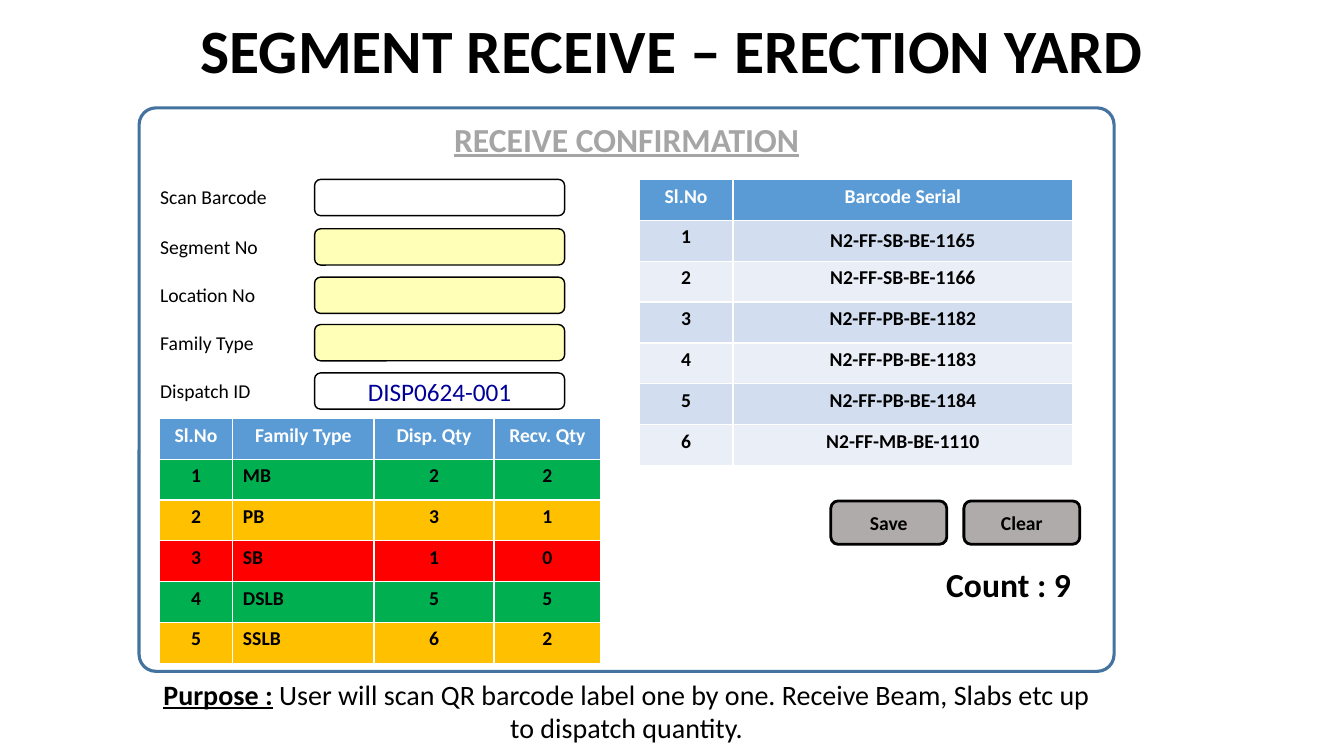
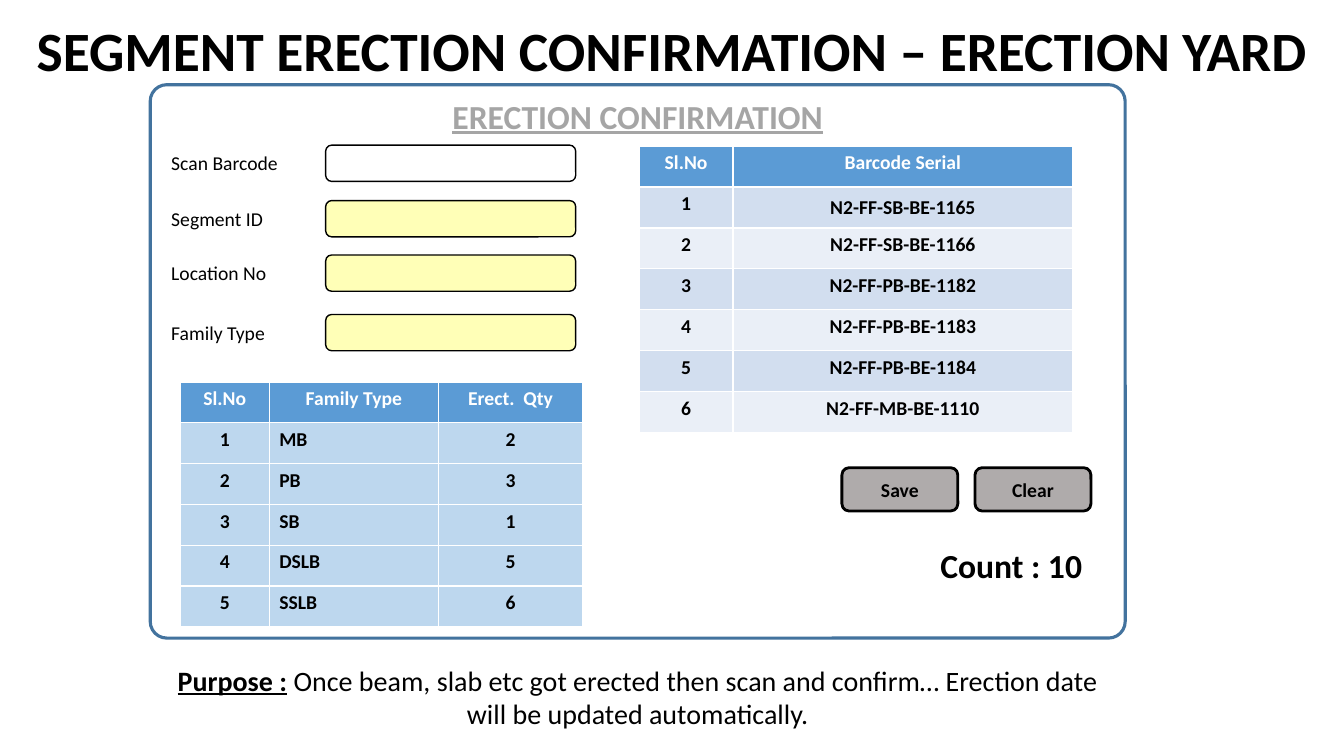
from pptx import Presentation
from pptx.dml.color import RGBColor
from pptx.enum.shapes import MSO_SHAPE
from pptx.enum.text import MSO_ANCHOR, PP_ALIGN
from pptx.util import Emu, Pt

EMU_PER_PX = 9144  # 100 px to the inch
SLIDE_WIDTH, SLIDE_HEIGHT = 1333, 750
PANEL_WIDTH = 967

BLACK = RGBColor(0x00, 0x00, 0x00)
WHITE = RGBColor(0xFF, 0xFF, 0xFF)
NAVY = RGBColor(0x00, 0x00, 0x99)
GRAY = RGBColor(0xA5, 0xA5, 0xA5)
BUTTON_GRAY = RGBColor(0xAF, 0xAB, 0xAB)
PANEL_BLUE = RGBColor(0x43, 0x73, 0x9E)
HEADER_BLUE = RGBColor(0x5B, 0x9B, 0xD5)
LIGHT_BLUE = RGBColor(0xBD, 0xD7, 0xEE)
BAND_DARK = RGBColor(0xD2, 0xDE, 0xEF)
BAND_LIGHT = RGBColor(0xEA, 0xEF, 0xF7)
YELLOW = RGBColor(0xFF, 0xFF, 0xB7)
GREEN = RGBColor(0x00, 0xB0, 0x50)
AMBER = RGBColor(0xFF, 0xC0, 0x00)
RED = RGBColor(0xFF, 0x00, 0x00)

ROUNDED = MSO_SHAPE.ROUNDED_RECTANGLE
LEFT, CENTER, RIGHT = PP_ALIGN.LEFT, PP_ALIGN.CENTER, PP_ALIGN.RIGHT
TOP, MIDDLE = MSO_ANCHOR.TOP, MSO_ANCHOR.MIDDLE

LABEL = {"size": Pt(14)}
STRONG = {"size": Pt(14), "bold": True}
ENTRY = {"size": Pt(18)}
HEADING = {"size": Pt(24), "bold": True, "underline": True}
COUNT = {"size": Pt(24), "bold": True}
PURPOSE = {"size": Pt(20)}
PURPOSE_BOLD = {"size": Pt(20), "bold": True}
PURPOSE_LEAD = {"size": Pt(20), "bold": True, "underline": True}

BARCODES = ["N2-FF-SB-BE-1165", "N2-FF-SB-BE-1166", "N2-FF-PB-BE-1182",
            "N2-FF-PB-BE-1183", "N2-FF-PB-BE-1184", "N2-FF-MB-BE-1110"]
FAMILIES = ["MB", "PB", "SB", "DSLB", "SSLB"]
DISPATCHED = [2, 3, 1, 5, 6]
RECEIVED = [2, 1, 0, 5, 2]


def px(length):
    return Emu(length * EMU_PER_PX)


def box(*lengths):
    return [px(length) for length in lengths]


def receipt_color(dispatched, received):
    if received == dispatched:
        return GREEN
    return AMBER if received else RED


class FormDeck:
    """Holds the shared form style and the slide being built."""

    font_name = "Calibri"

    def __init__(self):
        self.presentation = Presentation()
        self.presentation.slide_width = px(SLIDE_WIDTH)
        self.presentation.slide_height = px(SLIDE_HEIGHT)
        self.slide = None

    def new_slide(self):
        layout = self.presentation.slide_layouts[6]
        self.slide = self.presentation.slides.add_slide(layout)

    def fill_frame(self, frame, runs, align=LEFT, anchor=TOP):
        """Fill a text frame with (text, format, colour) runs."""
        frame.word_wrap = True
        frame.vertical_anchor = anchor
        paragraph = frame.paragraphs[0]
        paragraph.alignment = align
        for text, style, color in runs:
            run = paragraph.add_run()
            run.text = text
            for name, value in {"name": self.font_name, **style}.items():
                setattr(run.font, name, value)
            run.font.color.rgb = color
        return paragraph

    def text(self, place, runs, align=LEFT, anchor=TOP):
        frame = self.slide.shapes.add_textbox(*box(*place)).text_frame
        return self.fill_frame(frame, runs, align, anchor)

    def rounded(self, place, line, width, fill=None, runs=()):
        shape = self.slide.shapes.add_shape(ROUNDED, *box(*place))
        shape.shadow.inherit = False
        shape.line.color.rgb = line
        shape.line.width = Pt(width)
        if fill is None:
            shape.fill.background()
        else:
            shape.fill.solid()
            shape.fill.fore_color.rgb = fill
        self.fill_frame(shape.text_frame, runs, CENTER, MIDDLE)
        return shape

    def title(self, text, size):
        style = {"size": Pt(size), "bold": True}
        paragraph = self.text((0, -1, SLIDE_WIDTH, 108),
                              [(text, style, BLACK)], CENTER, MIDDLE)
        paragraph.line_spacing = 0.9

    def panel(self, left, top, height, heading):
        panel = self.rounded((left, top, PANEL_WIDTH, height), PANEL_BLUE, 2.25)
        panel.adjustments[0] = 0.03
        self.text((left, top + 6, PANEL_WIDTH, 50),
                  [(heading, HEADING, GRAY)], CENTER)

    def field(self, left, top, label, fill=YELLOW, entry=None):
        self.text((left, top + 1, 209, 34), [(label, LABEL, BLACK)])
        runs = [(entry, ENTRY, NAVY)] if entry else ()
        self.rounded((left + 163, top, 248, 36), BLACK, 1, fill, runs)

    def buttons(self, left, top):
        for index, caption in enumerate(["Save", "Clear"]):
            self.rounded((left + index * 132, top, 115, 43), BLACK, 2,
                         BUTTON_GRAY, [(caption, STRONG, BLACK)])

    def table(self, left, top, height, widths, header, rows, fills):
        """Draw a numbered table; family names are the only left-aligned cells."""
        shape = self.slide.shapes.add_table(
            len(rows) + 1, len(header),
            *box(left, top, sum(widths), height))
        table = shape.table
        for column, width in zip(table.columns, widths):
            column.width = px(width)
        numbered = [(number, *row) for number, row in enumerate(rows, 1)]
        for row_index, (values, fill) in enumerate(
                zip([header, *numbered], [HEADER_BLUE, *fills])):
            color = BLACK if row_index else WHITE
            for column_index, value in enumerate(values):
                cell = table.cell(row_index, column_index)
                cell.fill.solid()
                cell.fill.fore_color.rgb = fill
                align = LEFT if value in FAMILIES else CENTER
                self.fill_frame(cell.text_frame,
                                [(str(value), STRONG, color)], align)
        return table

    def barcode_table(self, top):
        rows = [(barcode,) for barcode in BARCODES]
        fills = [BAND_DARK, BAND_LIGHT] * (len(rows) // 2)
        table = self.table(634, top, 284, [93, 337],
                           ["Sl.No", "Barcode Serial"], rows, fills)
        first_serial = table.cell(1, 1)
        first_serial.vertical_anchor = MIDDLE
        for side in ("left", "right", "top"):
            setattr(first_serial, f"margin_{side}", px(1))
        first_serial.margin_bottom = 0

    def count(self, right, top, total):
        self.text((right - 209, top, 209, 50),
                  [(f"Count : {total}", COUNT, BLACK)], RIGHT)

    def purpose(self, left, top, text):
        self.text((left, top, PANEL_WIDTH, 77),
                  [("Purpose :", PURPOSE_LEAD, BLACK),
                   (" ", PURPOSE_BOLD, BLACK),
                   (text, PURPOSE, BLACK)], CENTER)

    def form(self, title, title_size, panel, heading, fields, barcode_top,
             count, purpose):
        """Start a slide with everything but its quantity table."""
        left, top, height = panel
        self.new_slide()
        self.title(title, title_size)
        self.panel(left, top, height, heading)
        for field in fields:
            self.field(left + 11, *field)
        self.barcode_table(barcode_top)
        self.buttons(left + 686, barcode_top + 319)
        self.count(left + 934, *count)
        self.purpose(left, *purpose)


def main():
    deck = FormDeck()

    deck.form(
        "SEGMENT RECEIVE – ERECTION YARD", 44, (138, 107, 559),
        "RECEIVE CONFIRMATION",
        [(178, "Scan Barcode", None), (227, "Segment No"),
         (275, "Location No"), (322, "Family Type"),
         (370, "Dispatch ID", None, "DISP0624-001")],
        178, (555, 9),
        (667, "User will scan QR barcode label one by one. "
              "Receive Beam, Slabs etc up to dispatch quantity."))
    deck.table(158, 415, 243, [73, 140, 119, 106],
               ["Sl.No", "Family Type", "Disp. Qty", "Recv. Qty"],
               list(zip(FAMILIES, DISPATCHED, RECEIVED)),
               list(map(receipt_color, DISPATCHED, RECEIVED)))

    deck.form(
        "SEGMENT ERECTION CONFIRMATION – ERECTION YARD", 39.6, (149, 84, 549),
        "ERECTION CONFIRMATION",
        [(144, "Scan Barcode", None), (199, "Segment ID"),
         (253, "Location No"), (312, "Family Type")],
        145, (536, 10),
        (653, "Once beam, slab etc got erected then scan and confirm… "
              "Erection date will be updated automatically."))
    deck.table(179, 379, 243, [88, 168, 143],
               ["Sl.No", "Family Type", "Erect.  Qty"],
               list(zip(FAMILIES, DISPATCHED)),
               [LIGHT_BLUE] * len(FAMILIES))

    deck.presentation.save("out.pptx")


if __name__ == "__main__":
    main()
